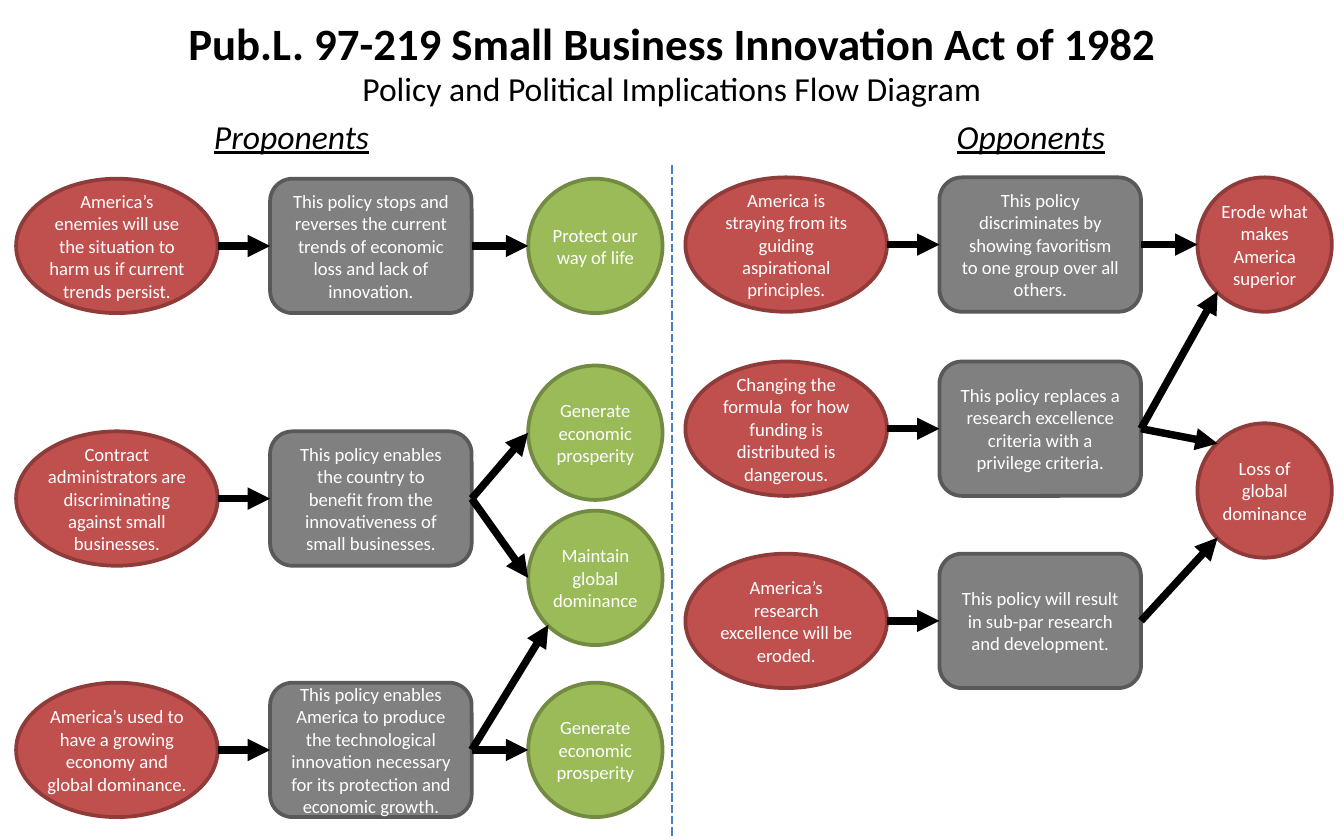
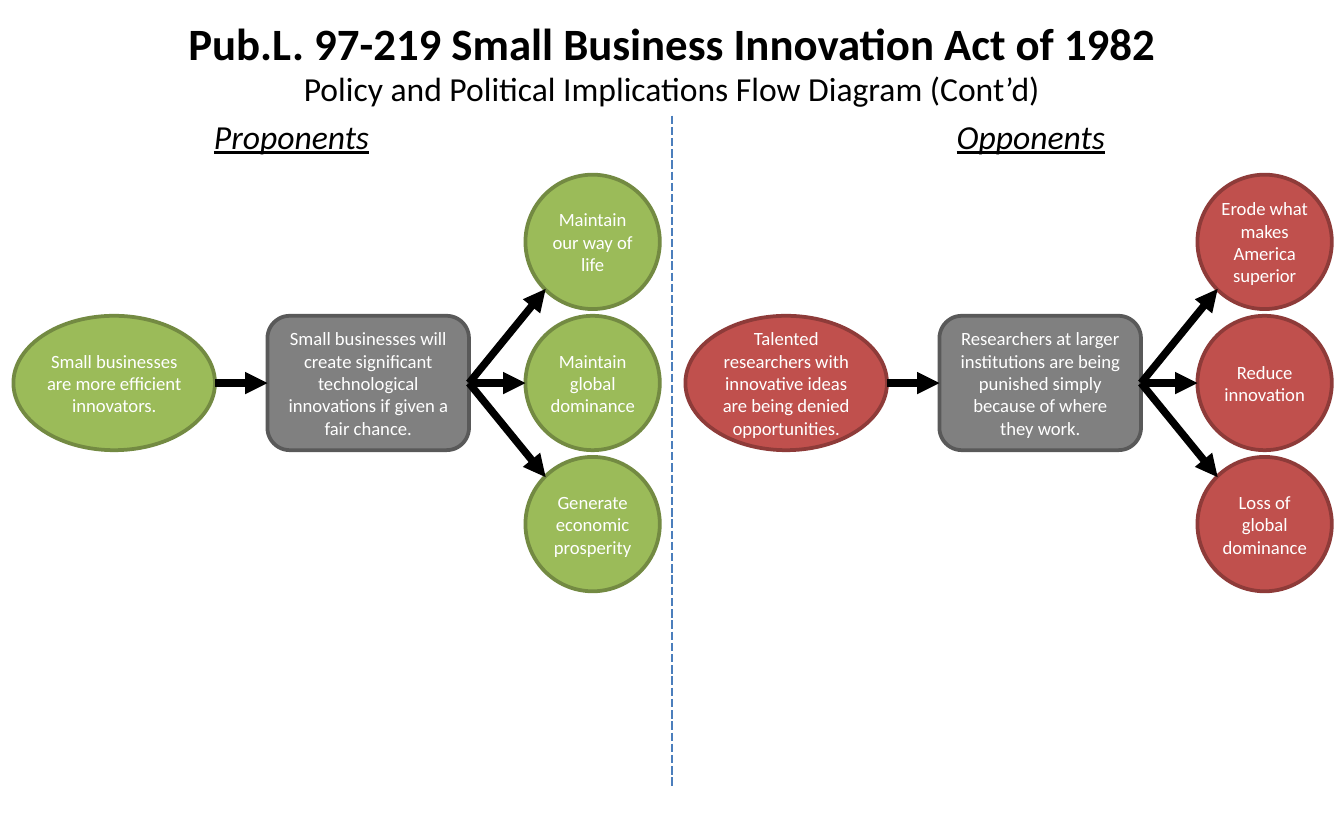
import dataclasses

import lxml.etree
import pptx
import pptx.dml.color
import pptx.enum.dml
import pptx.enum.shapes
import pptx.enum.text
import pptx.oxml.ns
import pptx.util

PX = 9144  # EMU per px, 100 px to the inch


@dataclasses.dataclass(frozen=True)
class Theme:
    font: str = "Calibri"
    title_size: int = 24
    heading_size: int = 18
    node_size: int = 10
    black: str = "000000"
    white: str = "FFFFFF"
    divider: str = "4B7EBC"
    # fill and outline of each kind of node
    red: tuple = ("C0504D", "8E3B39")
    green: tuple = ("9BBB59", "738A42")
    gray: tuple = ("808080", "595959")


theme = Theme()
rgb = pptx.dml.color.RGBColor.from_string
shape_kinds = pptx.enum.shapes.MSO_SHAPE

# Shared layout
CAUSE_WIDTH, OUTCOME_WIDTH, NODE_HEIGHT = 150, 100, 100
POLICY_OFFSET, OUTCOME_OFFSET = 189, 381
DIVIDER_X, DIVIDER_LENGTH = 500, 500
BOX_RIGHT, BOX_LEFT = 3, 1
# Where an arrow meets an outcome circle, measured from its top left
ARRIVALS = {"left": (0, 50), "upper": (15, 15), "lower": (15, 85)}

TITLE = "Pub.L. 97-219 Small Business Innovation Act of 1982"
SUBTITLE = "Policy and Political Implications Flow Diagram"

# Outcomes: (top, text). Flows: (top, cause, policy, [(outcome number, arrival)])
slides = [
    {
        "subtitle": SUBTITLE,
        "divider_top": 123,
        "sides": [
            {
                "left": 12, "cause": theme.red, "outcome": theme.green,
                "outcomes": [
                    (133, "Protect our way of life"),
                    (272, "Generate economic prosperity"),
                    (380, "Maintain global dominance"),
                    (508, "Generate economic prosperity"),
                ],
                "flows": [
                    (133, "America’s enemies will use the situation to harm us if current trends persist.",
                     "This policy stops and reverses the current trends of economic loss and lack of innovation.",
                     [(0, "left")]),
                    (321, "Contract administrators are discriminating against small businesses.",
                     "This policy enables the country to benefit from the innovativeness of small businesses.",
                     [(1, "left"), (2, "left")]),
                    (508, "America’s used to have a growing economy and global dominance.",
                     "This policy enables America to produce the technological innovation necessary "
                     "for its protection and economic growth.",
                     [(2, "lower"), (3, "left")]),
                ],
            },
            {
                "left": 510, "cause": theme.red, "outcome": theme.red,
                "outcomes": [
                    (132, "Erode what makes America superior"),
                    (315, "Loss of global dominance"),
                ],
                "flows": [
                    (132, "America is straying from its guiding aspirational principles.",
                     "This policy discriminates by showing favoritism to one group over all others.",
                     [(0, "left")]),
                    (269, "Changing the formula  for how funding is distributed is dangerous.",
                     "This policy replaces a research excellence criteria with a privilege criteria.",
                     [(0, "lower"), (1, "upper")]),
                    (412, "America’s research excellence will be eroded.",
                     "This policy will result in sub-par research and development.",
                     [(1, "lower")]),
                ],
            },
        ],
    },
    {
        "subtitle": SUBTITLE + " (Cont’d)",
        "divider_top": 86,
        "sides": [
            {
                "left": 10, "cause": theme.green, "outcome": theme.green,
                "outcomes": [
                    (130, "Maintain our way of life"),
                    (235, "Maintain global dominance"),
                    (340, "Generate economic prosperity"),
                ],
                "flows": [
                    (235, "Small businesses are more efficient innovators.",
                     "Small businesses will create significant technological innovations if given a fair chance.",
                     [(0, "lower"), (1, "left"), (2, "upper")]),
                ],
            },
            {
                "left": 510, "cause": theme.red, "outcome": theme.red,
                "outcomes": [
                    (130, "Erode what makes America superior"),
                    (235, "Reduce innovation"),
                    (340, "Loss of global dominance"),
                ],
                "flows": [
                    (235, "Talented researchers with innovative ideas are being denied opportunities.",
                     "Researchers at larger institutions are being punished simply because of where they work.",
                     [(0, "lower"), (1, "left"), (2, "upper")]),
                ],
            },
        ],
    },
]


def add_text_shape(slide, kind, box, text, size, color, colors=None, **font_format):
    """Add a text box, or a node when a kind of shape is given."""
    place = [value * PX for value in box]
    if kind is None:
        shape = slide.shapes.add_textbox(*place)
    else:
        shape = slide.shapes.add_shape(kind, *place)
        shape.shadow.inherit = False
        shape.fill.solid()
        shape.fill.fore_color.rgb = rgb(colors[0])
        shape.line.color.rgb = rgb(colors[1])
        shape.line.width = pptx.util.Pt(2)
    frame_format = {"word_wrap": True}
    if kind is None:
        frame_format["auto_size"] = pptx.enum.text.MSO_AUTO_SIZE.SHAPE_TO_FIT_TEXT
    else:
        frame_format["vertical_anchor"] = pptx.enum.text.MSO_ANCHOR.MIDDLE
    if kind == shape_kinds.OVAL:
        frame_format.update(margin_left=PX, margin_right=PX)
    for name, value in frame_format.items():
        setattr(shape.text_frame, name, value)
    paragraph = shape.text_frame.paragraphs[0]
    paragraph.alignment = pptx.enum.text.PP_ALIGN.CENTER
    run = paragraph.add_run()
    run.text = text
    run.font.color.rgb = rgb(color)
    font_format.update(name=theme.font, size=pptx.util.Pt(size))
    for name, value in font_format.items():
        setattr(run.font, name, value)
    return shape


def add_line(slide, start, end, color, width, arrow=True):
    """Add a straight line, either with an arrowhead or dashed."""
    points = [value * PX for value in (*start, *end)]
    line = slide.shapes.add_connector(pptx.enum.shapes.MSO_CONNECTOR.STRAIGHT, *points)
    line.line.color.rgb = rgb(color)
    line.line.width = pptx.util.Pt(width)
    if arrow:
        outline = line.line._get_or_add_ln()
        lxml.etree.SubElement(outline, pptx.oxml.ns.qn("a:tailEnd"), type="triangle")
    else:
        line.line.dash_style = pptx.enum.dml.MSO_LINE.SQUARE_DOT
    lxml.etree.SubElement(line._element.spPr, pptx.oxml.ns.qn("a:effectLst"))
    return line


presentation = pptx.Presentation()
presentation.slide_width = 1000 * PX
presentation.slide_height = 625 * PX

for content in slides:
    slide = presentation.slides.add_slide(presentation.slide_layouts[6])

    # Title, subtitle and side headings
    add_text_shape(slide, None, (100, 7, 800, 50), TITLE, theme.title_size, theme.black, bold=True)
    add_text_shape(slide, None, (175, 46, 650, 40), content["subtitle"],
                   theme.heading_size, theme.black)
    for left, heading in ((117, "Proponents"), (667, "Opponents")):
        add_text_shape(slide, None, (left, 81, 200, 40), heading,
                       theme.heading_size, theme.black, italic=True, underline=True)

    # Divider between the two sides
    top = content["divider_top"]
    add_line(slide, (DIVIDER_X, top), (DIVIDER_X, top + DIVIDER_LENGTH),
             theme.divider, 1.5, arrow=False)

    for side in content["sides"]:
        cause_left = side["left"]
        policy_left = cause_left + POLICY_OFFSET
        outcome_left = cause_left + OUTCOME_OFFSET

        # Outcome circles
        for top, text in side["outcomes"]:
            add_text_shape(slide, shape_kinds.OVAL,
                           (outcome_left, top, OUTCOME_WIDTH, NODE_HEIGHT),
                           text, theme.node_size, theme.white, side["outcome"])

        # Each cause leads to a policy effect, which leads to its outcomes
        for top, cause, policy, targets in side["flows"]:
            middle = top + NODE_HEIGHT // 2
            add_text_shape(slide, shape_kinds.OVAL,
                           (cause_left, top, CAUSE_WIDTH, NODE_HEIGHT),
                           cause, theme.node_size, theme.white, side["cause"])
            policy_box = add_text_shape(slide, shape_kinds.ROUNDED_RECTANGLE,
                                        (policy_left, top, CAUSE_WIDTH, NODE_HEIGHT),
                                        policy, theme.node_size, theme.white, theme.gray)
            arrow = add_line(slide, (cause_left + CAUSE_WIDTH, middle), (policy_left, middle),
                             theme.black, 4)
            arrow.end_connect(policy_box, BOX_LEFT)
            for number, arrival in targets:
                across, down = ARRIVALS[arrival]
                end = (outcome_left + across, side["outcomes"][number][0] + down)
                arrow = add_line(slide, (policy_left + CAUSE_WIDTH, middle), end, theme.black, 4)
                arrow.begin_connect(policy_box, BOX_RIGHT)

presentation.save("out.pptx")
